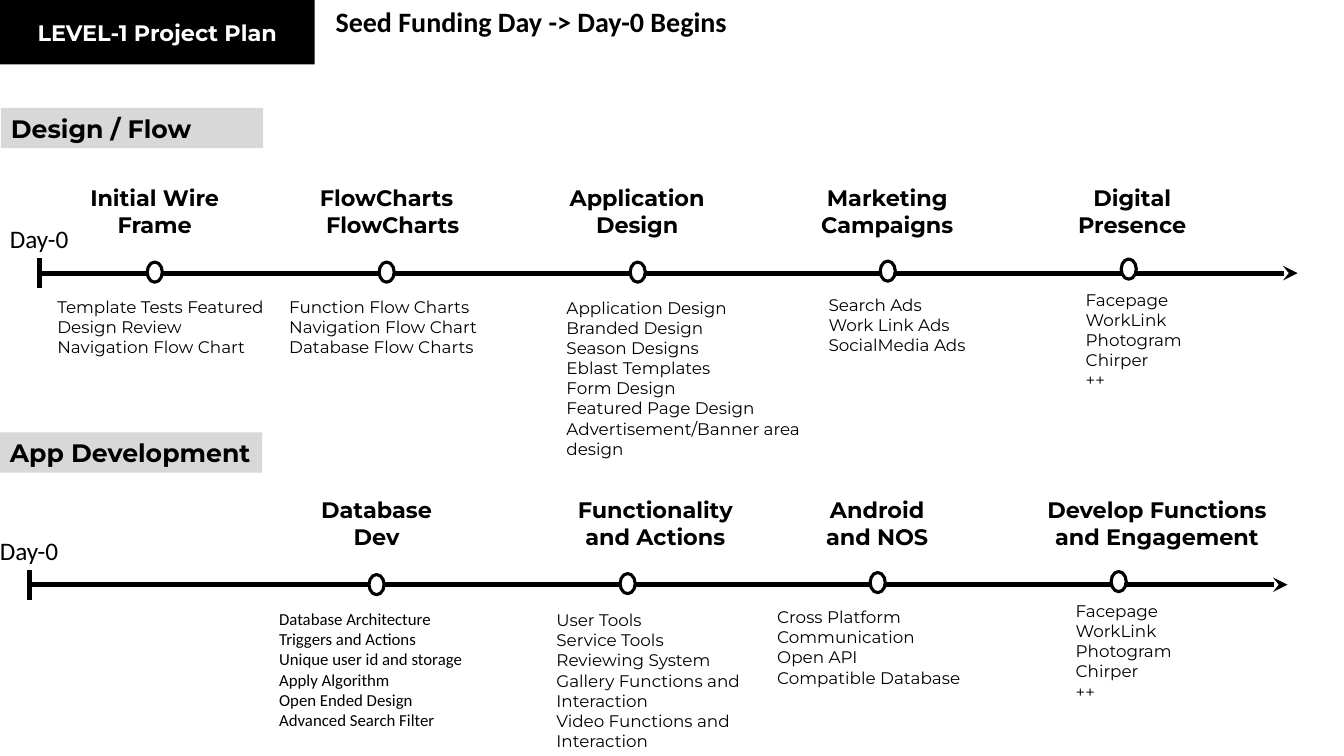
"""Build a project plan slide with two milestone timelines."""
from dataclasses import dataclass

import pptx
import pptx.dml.color
import pptx.enum.shapes
import pptx.enum.text
import pptx.oxml.ns
import pptx.util
from lxml import etree

BLACK = pptx.dml.color.RGBColor(0x00, 0x00, 0x00)
WHITE = pptx.dml.color.RGBColor(0xFF, 0xFF, 0xFF)
GRAY = pptx.dml.color.RGBColor(0xD8, 0xD8, 0xD8)
SANS, BODY = "Montserrat", "Calibri"
LEFT, CENTER = pptx.enum.text.PP_ALIGN.LEFT, pptx.enum.text.PP_ALIGN.CENTER
SHAPE = pptx.enum.shapes.MSO_SHAPE
CELL = pptx.util.Inches(0.1)
TITLE_ROW = -9.3
SOCIAL = "Facepage\nWorkLink\nPhotogram\nChirper\n++"


@dataclass(frozen=True)
class Box:
    """Area in grid columns and rows."""
    col: float
    row: float
    cols: float
    rows: float

    def emu(self) -> list[int]:
        """Return left, top, width and height as slide lengths."""
        return [round(n * CELL) for n in (self.col, self.row, self.cols, self.rows)]


@dataclass(frozen=True)
class Style:
    """Look of a piece of text."""
    size: int
    font: str = SANS
    bold: bool = False
    align: int = LEFT
    color: pptx.dml.color.RGBColor = BLACK


TITLE = Style(16, bold=True, align=CENTER)
TASKS = Style(12)


@dataclass(frozen=True)
class Milestone:
    """Node, title and tasks, placed relative to the start of the axis."""
    title: str
    title_col: float
    title_cols: float
    node_col: float
    node_row: float
    tasks: str
    area: Box
    style: Style = TASKS
    title_rows: float = 6.4


@dataclass(frozen=True)
class Track:
    """One timeline with its heading."""
    heading: str
    bar: Box
    col: float
    row: float
    milestones: tuple[Milestone, ...]


TRACKS = (
    Track("Design / Flow", Box(0.1, 10.7, 26, 4), 3.7, 27.1, (
        Milestone("Initial Wire Frame", 3, 17.3, 10.9, -1.1,
                  "Template Tests Featured Design Review\nNavigation Flow Chart",
                  Box(1, 1.8, 22.8, 7.1)),
        Milestone("FlowCharts", 26, 17.3, 33.9, -1.1,
                  "Function Flow Charts\nNavigation Flow Chart\nDatabase Flow Charts",
                  Box(24, 1.8, 22.8, 7.1), title_rows=3.7),
        Milestone("Application Design", 51.5, 16, 58.8, -1.1,
                  "Application Design\nBranded Design\nSeason Designs\nEblast Templates\n"
                  "Form Design\nFeatured Page Design\nAdvertisement/Banner area design",
                  Box(51.5, 1.9, 27.9, 17.2)),
        Milestone("Marketing Campaigns", 76.3, 16, 83.6, -1.2,
                  "Search Ads\nWork Link Ads\nSocialMedia Ads", Box(77.5, 1.6, 18.7, 7.1)),
        Milestone("Digital Presence", 100.6, 16, 107.5, -1.4, SOCIAL,
                  Box(103, 1.1, 18.7, 11.1)),
    )),
    Track("App Development", Box(0, 42.9, 26, 4), 2.7, 58, (
        Milestone("Database Dev", 26, 17.3, 33.9, -1,
                  "Database Architecture\nTriggers and Actions\nUnique user id and storage\n"
                  "Apply Algorithm\nOpen Ended Design\nAdvanced Search Filter",
                  Box(24, 1.9, 22.8, 13.1), Style(12, BODY)),
        Milestone("Functionality and Actions", 51.5, 21.6, 58.8, -1.1,
                  "User Tools\nService Tools\nReviewing System\n"
                  "Gallery Functions and Interaction\nVideo Functions and Interaction",
                  Box(51.5, 2, 27, 15.1)),
        Milestone("Android and NOS", 76.3, 16, 83.6, -1.2,
                  "Cross Platform Communication\nOpen API\nCompatible Database",
                  Box(73.4, 1.7, 22.8, 9.1)),
        Milestone("Develop Functions and Engagement", 99.1, 25.9, 107.5, -1.3, SOCIAL,
                  Box(103, 1.1, 18.7, 11.1)),
    )),
)


def write(s, text: str, style: Style) -> None:
    """Put styled, wrapped text into a shape."""
    tf = s.text_frame
    tf.word_wrap = True
    tf.text = text
    for p in tf.paragraphs:
        p.alignment = style.align
        for r in p.runs:
            r.font.size = pptx.util.Pt(style.size)
            r.font.name = style.font
            r.font.bold = style.bold
            r.font.color.rgb = style.color


def add_text(s, box: Box, text: str, style: Style) -> None:
    """Add a text box."""
    sp = s.shapes.add_textbox(*box.emu())
    write(sp, text, style)
    sp.text_frame.auto_size = pptx.enum.text.MSO_AUTO_SIZE.SHAPE_TO_FIT_TEXT


def add_shape(s, kind: int, box: Box, fill: pptx.dml.color.RGBColor):
    """Add a filled shape without outline or shadow."""
    sp = s.shapes.add_shape(kind, *box.emu())
    sp.shadow.inherit = False
    sp.fill.solid()
    sp.fill.fore_color.rgb = fill
    sp.line.fill.background()
    return sp


def add_bar(s, box: Box, text: str, fill: pptx.dml.color.RGBColor, style: Style) -> None:
    """Add a rectangle with text centred vertically."""
    sp = add_shape(s, SHAPE.RECTANGLE, box, fill)
    write(sp, text, style)
    sp.text_frame.vertical_anchor = pptx.enum.text.MSO_ANCHOR.MIDDLE


def add_line(s, start: tuple[float, float], end: tuple[float, float], arrow: bool = False) -> None:
    """Add a thick black line, optionally ending in an arrowhead."""
    c = s.shapes.add_connector(pptx.enum.shapes.MSO_CONNECTOR.STRAIGHT,
                               *[round(n * CELL) for n in start + end])
    c.line.width = pptx.util.Pt(3.5)
    c.line.color.rgb = BLACK
    spPr = c._element.spPr
    if arrow:
        ln = spPr.find(pptx.oxml.ns.qn("a:ln"))
        etree.SubElement(ln, pptx.oxml.ns.qn("a:tailEnd"), type="stealth")
    etree.SubElement(spPr, pptx.oxml.ns.qn("a:effectLst"))


def add_milestone(s, t: Track, m: Milestone) -> None:
    """Add one milestone to a track."""
    node = add_shape(s, SHAPE.OVAL, Box(t.col + m.node_col, t.row + m.node_row, 1.5, 2), WHITE)
    node.line.color.rgb = BLACK
    node.line.width = pptx.util.Pt(2.25)
    b = m.area
    add_text(s, Box(t.col + b.col, t.row + b.row, b.cols, b.rows), m.tasks, m.style)
    add_text(s, Box(t.col + m.title_col, t.row + TITLE_ROW, m.title_cols, m.title_rows),
             m.title, TITLE)


def add_track(s, t: Track) -> None:
    """Add an axis with its start mark, milestones and heading."""
    add_line(s, (t.col, t.row), (t.col + 125, t.row), arrow=True)
    add_line(s, (t.col + 0.2, t.row + 1.5), (t.col + 0.2, t.row - 1.5))
    for m in t.milestones:
        add_milestone(s, t, m)
    add_text(s, Box(t.col - 3.7, t.row - 5.4, 9.3, 4), "Day-0", Style(18, BODY))
    add_bar(s, t.bar, t.heading, GRAY, Style(18, bold=True))


def main() -> None:
    """Build and save the slide."""
    prs = pptx.Presentation()
    prs.slide_width, prs.slide_height = pptx.util.Inches(13.33), pptx.util.Inches(7.5)
    s = prs.slides.add_slide(prs.slide_layouts[6])
    add_bar(s, Box(0, 0, 31.2, 6.4), "LEVEL-1 Project Plan", BLACK,
            Style(16, bold=True, align=CENTER, color=WHITE))
    add_text(s, Box(32.3, 0, 45, 7.7), "Seed Funding Day -> Day-0 Begins",
             Style(20, BODY, bold=True))
    for t in TRACKS:
        add_track(s, t)
    add_text(s, Box(30.3, 20.5, 17.3, 3.7), "FlowCharts", TITLE)
    prs.save("out.pptx")


if __name__ == "__main__":
    main()
